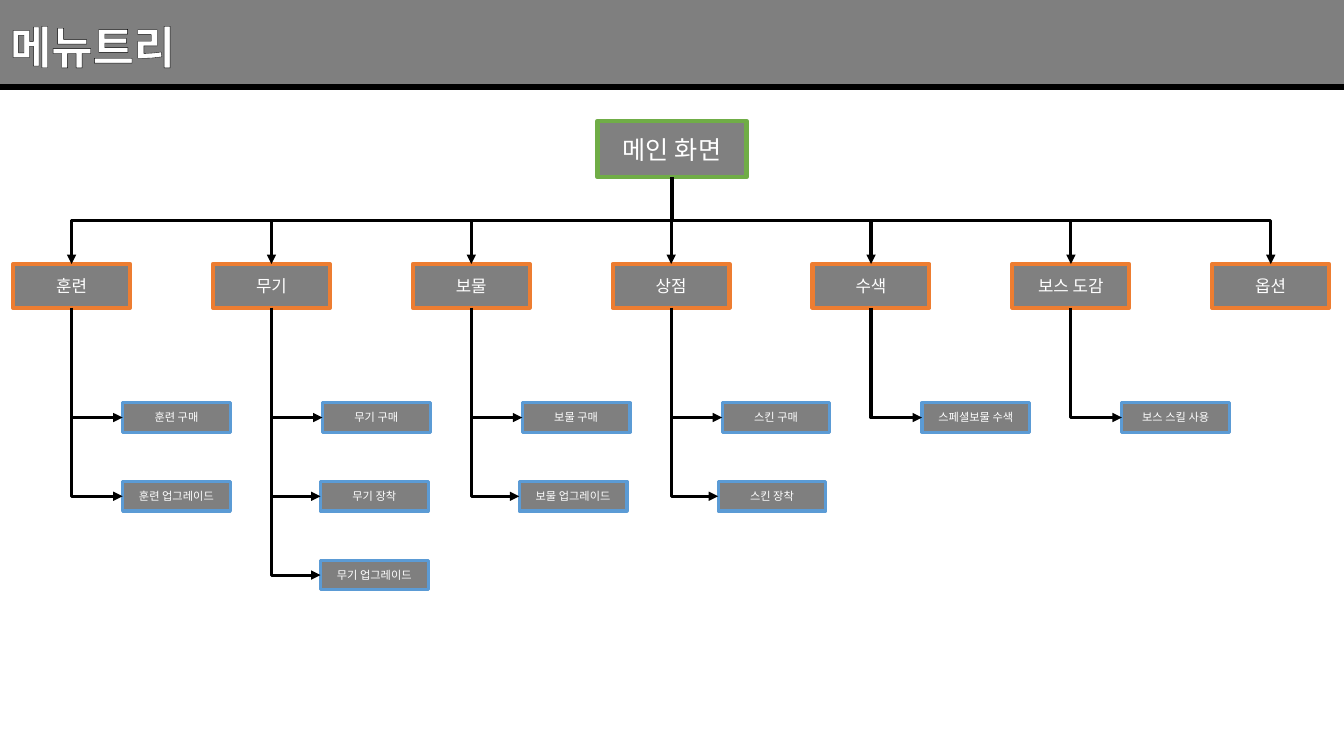
from dataclasses import dataclass
from typing import Any

from lxml.etree import SubElement
from pptx import Presentation
from pptx.dml.color import RGBColor
from pptx.enum.shapes import MSO_CONNECTOR, MSO_SHAPE
from pptx.enum.text import MSO_ANCHOR, MSO_AUTO_SIZE, PP_ALIGN
from pptx.oxml.ns import qn
from pptx.util import Pt

COLORS = {
    "black": "000000",
    "white": "FFFFFF",
    "main_gray": "808080",
    "gray": "7F7F7F",
    "green": "70AD47",
    "orange": "ED7D31",
    "blue": "5B9BD5",
}
FONT_NAME = "Noto Sans CJK KR"
SLIDE_WIDTH, SLIDE_HEIGHT = 960, 540
HEADER_HEIGHT = 62
MENU_LEFT, MENU_TOP, MENU_PITCH = 9.4, 188.6, 142.75
ITEM_INDENT, ITEM_TOP, ITEM_PITCH = 78.2, 287.7, 56.25
BOTTOM_SITE, TOP_SITE, LEFT_SITE = 2, 0, 1


@dataclass(frozen=True)
class BoxStyle:
    width: float
    height: float
    border: str
    border_width: float
    font_size: float


@dataclass(frozen=True)
class Menu:
    name: str
    items: tuple[str, ...] = ()
    lower_shift: float = 0
    fill: str = "gray"


MAIN_STYLE = BoxStyle(106.5, 40.3, "green", 3, 18)
MENU_STYLE = BoxStyle(83.5, 31.3, "orange", 3, 12)
ITEM_STYLE = BoxStyle(77, 21.1, "blue", 2.25, 8)

MENUS = (
    Menu("훈련", ("훈련 구매", "훈련 업그레이드")),
    Menu("무기", ("무기 구매", "무기 장착", "무기 업그레이드"), -1.4),
    Menu("보물", ("보물 구매", "보물 업그레이드"), -2.2),
    Menu("상점", ("스킨 구매", "스킨 장착"), -2.9),
    Menu("수색", ("스페셜보물 수색",)),
    Menu("보스 도감", ("보스 스킬 사용",), fill="main_gray"),
    Menu("옵션"),
)


def color(name: str) -> RGBColor:
    return RGBColor.from_string(COLORS[name])


def apply_format(target: Any, values: dict[str, Any]) -> None:
    for name, value in values.items():
        setattr(target, name, value)


def write_text(shape: Any, text: str, size: float, bold: bool, alignment: PP_ALIGN) -> Any:
    paragraph = shape.text_frame.paragraphs[0]
    paragraph.alignment = alignment
    run = paragraph.add_run()
    run.text = text
    apply_format(run.font, {"name": FONT_NAME, "size": Pt(size), "bold": bold})
    run.font.color.rgb = color("white")
    properties = run.font._element
    SubElement(properties, qn("a:ea"), typeface=FONT_NAME)
    return properties


def add_rectangle(slide: Any, left: float, top: float, width: float, height: float, fill: str) -> Any:
    shape = slide.shapes.add_shape(
        MSO_SHAPE.RECTANGLE, Pt(left), Pt(top), Pt(width), Pt(height)
    )
    shape.shadow.inherit = False
    shape.fill.solid()
    shape.fill.fore_color.rgb = color(fill)
    return shape


def add_box(slide: Any, text: str, left: float, top: float, style: BoxStyle, fill: str) -> Any:
    shape = add_rectangle(slide, left, top, style.width, style.height, fill)
    shape.line.color.rgb = color(style.border)
    shape.line.width = Pt(style.border_width)
    apply_format(shape.text_frame, {"word_wrap": True, "vertical_anchor": MSO_ANCHOR.MIDDLE})
    write_text(shape, text, style.font_size, False, PP_ALIGN.CENTER)
    return shape


def style_connector(connector: Any, width: float) -> None:
    connector.line.color.rgb = color("black")
    connector.line.width = Pt(width)
    SubElement(connector._element.spPr, qn("a:effectLst"))


def add_branch(slide: Any, parent: Any, child: Any, child_site: int) -> None:
    start_x = parent.left + parent.width // 2
    start_y = parent.top + parent.height
    if child_site == TOP_SITE:
        end_x, end_y = child.left + child.width // 2, child.top
        preset = "bentConnector3"
    else:
        end_x, end_y = child.left, child.top + child.height // 2
        preset = "bentConnector2"
    connector = slide.shapes.add_connector(MSO_CONNECTOR.ELBOW, start_x, start_y, end_x, end_y)
    connector.begin_connect(parent, BOTTOM_SITE)
    connector.end_connect(child, child_site)

    goes_right = end_x > start_x
    length, spread = end_y - start_y, abs(end_x - start_x)
    apply_format(connector, {
        "left": (start_x + end_x - length) // 2,
        "top": (start_y + end_y - spread) // 2,
        "width": length,
        "height": spread,
        "rotation": 270 if goes_right else 90,
    })
    properties = connector._element.spPr
    transform = properties.find(qn("a:xfrm"))
    transform.set("flipH", "1" if goes_right else "0")
    transform.set("flipV", "0")
    properties.find(qn("a:prstGeom")).set("prst", preset)
    style_connector(connector, 2.25)
    SubElement(properties.find(qn("a:ln")), qn("a:tailEnd"), type="triangle")


def add_header(slide: Any) -> None:
    band = add_rectangle(slide, 0, 0, SLIDE_WIDTH, HEADER_HEIGHT, "black")
    band.line.fill.background()
    band_color = band._element.spPr.find(qn("a:solidFill"))[0]
    SubElement(band_color, qn("a:alpha"), val="50000")
    rule = slide.shapes.add_connector(
        MSO_CONNECTOR.STRAIGHT, 0, Pt(HEADER_HEIGHT), Pt(SLIDE_WIDTH), Pt(HEADER_HEIGHT)
    )
    style_connector(rule, 4.5)

    title = slide.shapes.title
    apply_format(title, {"left": 0, "top": Pt(10), "width": Pt(393), "height": Pt(46)})
    apply_format(title.text_frame, {
        "word_wrap": True,
        "vertical_anchor": MSO_ANCHOR.TOP,
        "auto_size": MSO_AUTO_SIZE.SHAPE_TO_FIT_TEXT,
    })
    properties = write_text(title, "메뉴트리", 32, True, PP_ALIGN.LEFT)
    outline = SubElement(properties, qn("a:ln"), w=str(Pt(1.5)))
    outline_fill = SubElement(outline, qn("a:solidFill"))
    SubElement(outline_fill, qn("a:srgbClr"), val=COLORS["black"])
    properties.insert(0, outline)
    slide.shapes._spTree.append(title._element)


def add_menu_tree(slide: Any) -> None:
    main_left = (SLIDE_WIDTH - MAIN_STYLE.width) / 2
    main_box = add_box(slide, "메인 화면", main_left, 86.4, MAIN_STYLE, "main_gray")
    for column, menu in enumerate(MENUS):
        left = MENU_LEFT + column * MENU_PITCH
        menu_box = add_box(slide, menu.name, left, MENU_TOP, MENU_STYLE, menu.fill)
        add_branch(slide, main_box, menu_box, TOP_SITE)
        for row, item in enumerate(menu.items):
            item_left = left + ITEM_INDENT + (menu.lower_shift if row else 0)
            item_top = ITEM_TOP + row * ITEM_PITCH
            item_box = add_box(slide, item, item_left, item_top, ITEM_STYLE, "gray")
            add_branch(slide, menu_box, item_box, LEFT_SITE)


def main() -> None:
    presentation = Presentation()
    apply_format(presentation, {"slide_width": Pt(SLIDE_WIDTH), "slide_height": Pt(SLIDE_HEIGHT)})
    slide = presentation.slides.add_slide(presentation.slide_layouts.get_by_name("Title Only"))
    add_header(slide)
    add_menu_tree(slide)
    presentation.save("out.pptx")


if __name__ == "__main__":
    main()
